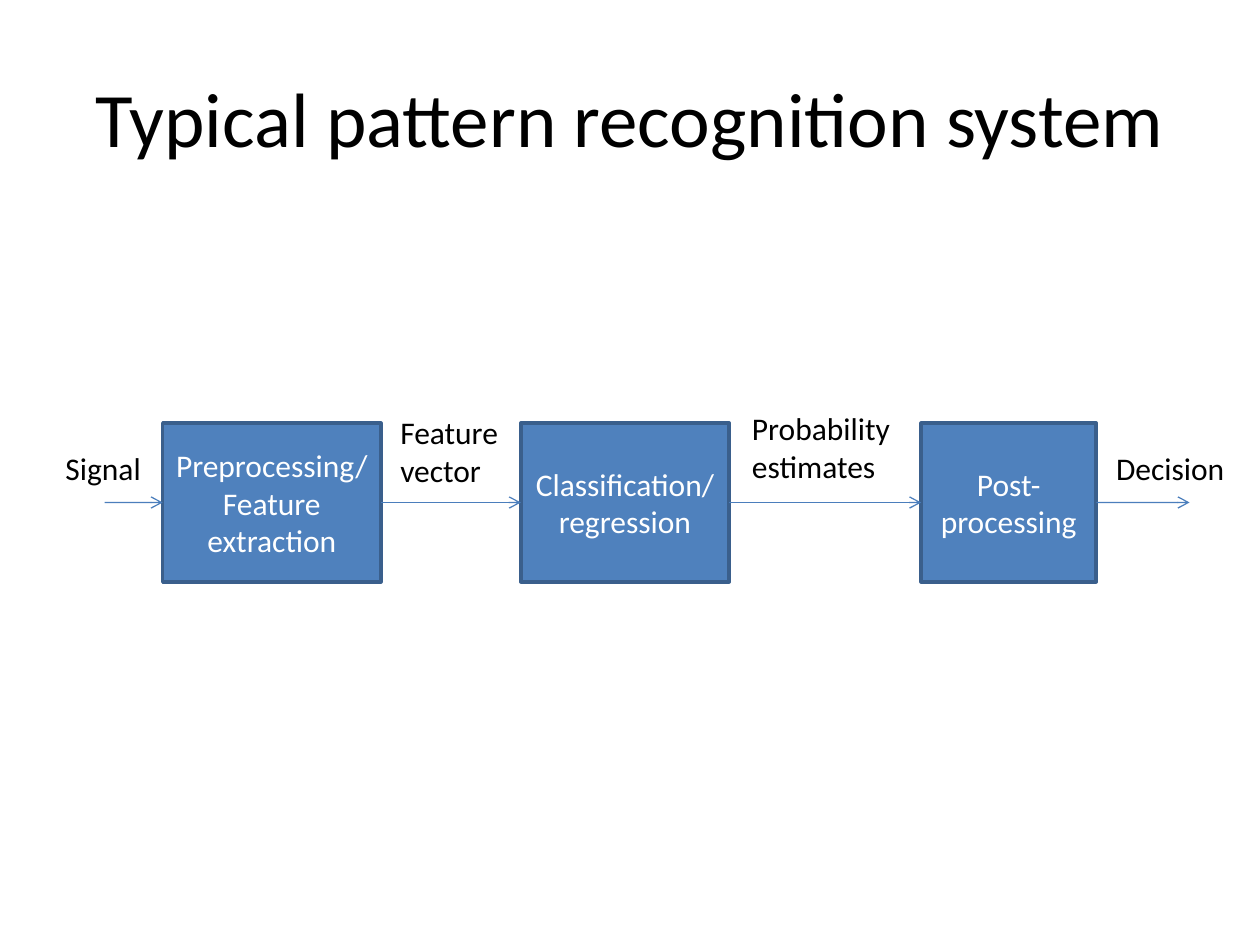
from lxml.etree import SubElement
from pptx import Presentation
from pptx.dml.color import RGBColor
from pptx.enum.shapes import MSO_CONNECTOR as CONN, MSO_SHAPE as SHAPE
from pptx.enum.text import MSO_ANCHOR as ANCHOR, MSO_AUTO_SIZE as FIT, PP_ALIGN as ALIGN
from pptx.oxml.ns import qn
from pptx.util import Cm, Pt

BLACK = RGBColor(0x00, 0x00, 0x00)
WHITE = RGBColor(0xFF, 0xFF, 0xFF)
BLUE = RGBColor(0x4F, 0x81, 0xBD)
BORDER = RGBColor(0x3A, 0x5F, 0x8C)
ARROW = RGBColor(0x4B, 0x7E, 0xBC)

TOP, RIGHT, LEFT = 8.53, 3, 1
HEIGHT = 3.2
MIDDLE = TOP + HEIGHT / 2


class Diagram:
    """Style and current slide of a block diagram."""
    font = {"name": "Calibri", "size": Pt(18)}

    def __init__(self, prs):
        self.s = prs.slides.add_slide(prs.slide_layouts[5])

    def set_text(self, sp, lines, color, align, frame, **font):
        tf = sp.text_frame
        for key, value in frame.items():
            setattr(tf, key, value)
        for i, line in enumerate(lines):
            p = tf.paragraphs[0] if i == 0 else tf.add_paragraph()
            p.alignment = align
            r = p.add_run()
            r.text = line
            for key, value in {**self.font, **font}.items():
                setattr(r.font, key, value)
            r.font.color.rgb = color

    def title(self, text, x, y, w, h):
        sp = self.s.shapes.title
        sp.left, sp.top, sp.width, sp.height = map(Cm, (x, y, w, h))
        frame = {"vertical_anchor": ANCHOR.MIDDLE}
        self.set_text(sp, [text], BLACK, ALIGN.CENTER, frame, size=Pt(44))

    def box(self, text, x, w):
        sp = self.s.shapes.add_shape(SHAPE.RECTANGLE, *map(Cm, (x, TOP, w, HEIGHT)))
        sp.shadow.inherit = False
        sp.fill.solid()
        sp.fill.fore_color.rgb = BLUE
        sp.line.color.rgb = BORDER
        sp.line.width = Pt(2)
        frame = {"word_wrap": True, "vertical_anchor": ANCHOR.MIDDLE}
        self.set_text(sp, [text], WHITE, ALIGN.CENTER, frame)
        return sp

    def label(self, lines, x, y, w, h):
        sp = self.s.shapes.add_textbox(*map(Cm, (x, y, w, h)))
        frame = {"word_wrap": False, "auto_size": FIT.SHAPE_TO_FIT_TEXT}
        self.set_text(sp, lines, BLACK, ALIGN.LEFT, frame)

    def arrow(self, x1, x2, source=None, target=None):
        y = Cm(MIDDLE)
        c = self.s.shapes.add_connector(CONN.STRAIGHT, Cm(x1), y, Cm(x2), y)
        if source is not None:
            c.begin_connect(source, RIGHT)
        if target is not None:
            c.end_connect(target, LEFT)
        c.line.color.rgb = ARROW
        c.line.width = Pt(0.75)
        sp_pr = c._element.spPr
        SubElement(sp_pr.find(qn("a:ln")), qn("a:tailEnd"), type="arrow")
        SubElement(sp_pr, qn("a:effectLst"))


def main():
    prs = Presentation()
    prs.slide_width, prs.slide_height = Cm(25.4), Cm(19.05)
    d = Diagram(prs)
    d.title("Typical pattern recognition system", 1.27, 0.76, 22.86, 3.18)

    # Processing stages: text, left, width
    stages = [
        ("Preprocessing/Feature extraction", 3.28, 4.4),
        ("Classification/regression", 10.5, 4.2),
        ("Post-processing", 18.57, 3.53),
    ]
    boxes = [d.box(*stage) for stage in stages]

    # Arrows into, between and out of the stages
    starts = [2.11] + [x + w for _, x, w in stages]
    ends = [x for _, x, _ in stages] + [23.98]
    for link in zip(starts, ends, [None] + boxes, boxes + [None]):
        d.arrow(*link)

    # Data passed along each arrow
    d.label(["Signal"], 1.07, 8.92, 2.06, 1.02)
    d.label(["Feature", "vector"], 7.82, 8.2, 2.51, 1.8)
    d.label(["Probability", "estimates"], 14.91, 8.13, 3.48, 1.8)
    d.label(["Decision"], 22.25, 8.92, 2.72, 1.02)

    prs.save("out.pptx")


if __name__ == "__main__":
    main()
